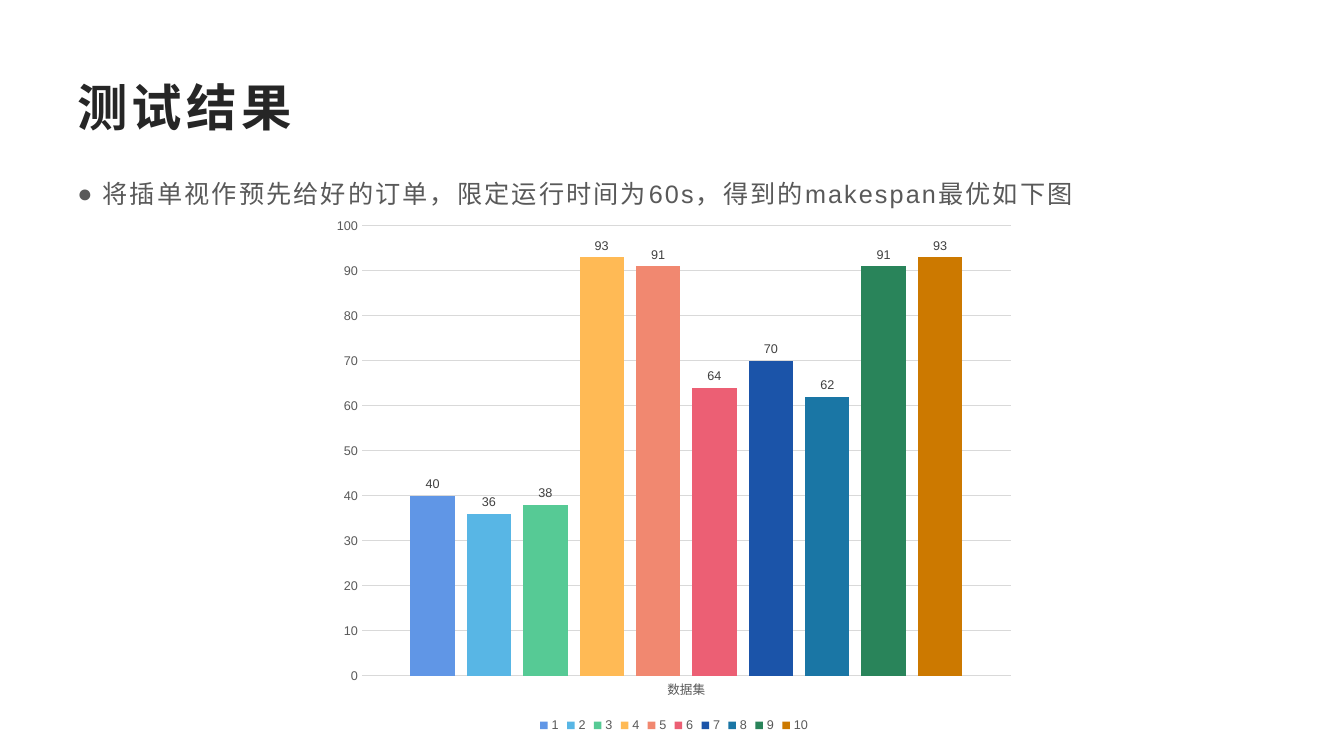
from dataclasses import dataclass

from lxml import etree
from pptx import Presentation
from pptx.chart.data import CategoryChartData
from pptx.dml.color import RGBColor
from pptx.enum.chart import XL_CHART_TYPE, XL_LABEL_POSITION, XL_LEGEND_POSITION, XL_TICK_MARK
from pptx.enum.text import MSO_ANCHOR
from pptx.oxml import parse_xml
from pptx.oxml.ns import nsdecls, qn
from pptx.util import Inches, Pt


@dataclass(frozen=True)
class Theme:
    """Colours, font and type sizes of the slide."""
    font: str = "Arial"
    title_color: str = "262626"
    text_color: str = "595959"
    label_color: str = "404040"
    line_color: str = "D9D9D9"
    title_size: float = 36
    body_size: float = 18
    chart_size: float = 9
    line_width: float = 0.75


# Makespan and bar colour of each data set, numbered from 1
RESULTS = [
    (40, "6096E6"), (36, "58B6E5"), (38, "56CA95"), (93, "FFBA55"), (91, "F18870"),
    (64, "EC5F74"), (70, "1B54A9"), (62, "1A76A5"), (91, "29845A"), (93, "CC7900"),
]


class SlideBuilder:
    """Adds styled elements to one slide."""

    def __init__(self, slide, theme):
        """Keep the slide and its theme."""
        self.slide = slide
        self.theme = theme

    def style_font(self, font, size, color, bold=False):
        """Set the typeface, size, colour and weight."""
        font.name = self.theme.font
        font.size = Pt(size)
        font.bold = bold
        font.color.rgb = RGBColor.from_string(color)

    def style_line(self, line):
        """Draw a thin grey chart line."""
        line.color.rgb = RGBColor.from_string(self.theme.line_color)
        line.width = Pt(self.theme.line_width)

    def add_text(self, text, box, size, color, spacing, bold=False):
        """Add a text box with letter spacing in points and return it."""
        shape = self.slide.shapes.add_textbox(*map(Inches, box))
        shape.text_frame.word_wrap = True
        shape.text_frame.text = text
        for run in shape.text_frame.paragraphs[0].runs:
            self.style_font(run.font, size, color, bold)
            run.font._element.set("spc", str(round(spacing * 100)))
        return shape

    def add_title(self, text, box):
        """Add the bold, vertically centred heading."""
        shape = self.add_text(text, box, self.theme.title_size, self.theme.title_color, 3, bold=True)
        shape.text_frame.vertical_anchor = MSO_ANCHOR.MIDDLE

    def add_bullet(self, text, box):
        """Add a bulleted paragraph with a hanging indent."""
        shape = self.add_text(text, box, self.theme.body_size, self.theme.text_color, 1.5)
        paragraph = shape.text_frame.paragraphs[0]
        paragraph.line_spacing = 1.3
        paragraph.space_after = Pt(10)
        properties = paragraph._p.get_or_add_pPr()
        indent = Inches(0.25)
        properties.set("marL", str(indent))
        properties.set("indent", str(-indent))
        etree.SubElement(properties, qn("a:buFont"), typeface=self.theme.font)
        etree.SubElement(properties, qn("a:buChar"), char="●")

    def add_column_chart(self, category, results, box, plot_box):
        """Add a column chart with one coloured series per result."""
        data = CategoryChartData()
        data.categories = [category]
        for number, (value, _) in enumerate(results, start=1):
            data.add_series(str(number), [value])
        chart = self.slide.shapes.add_chart(
            XL_CHART_TYPE.COLUMN_CLUSTERED, *map(Inches, box), data).chart
        self.style_font(chart.font, self.theme.chart_size, self.theme.text_color)
        chart.has_title = False
        chart.has_legend = True
        chart.legend.position = XL_LEGEND_POSITION.BOTTOM
        chart.legend.include_in_layout = False
        self.style_axes(chart)
        self.style_columns(chart.plots[0], results)
        self.place_plot(chart, plot_box)

    def style_axes(self, chart):
        """Set the scale, gridlines and axis lines."""
        for axis in (chart.category_axis, chart.value_axis):
            axis.major_tick_mark = axis.minor_tick_mark = XL_TICK_MARK.NONE
        self.style_line(chart.category_axis.format.line)
        values = chart.value_axis
        values.minimum_scale, values.maximum_scale, values.major_unit = 0, 100, 10
        values.format.line.fill.background()
        self.style_line(values.major_gridlines.format.line)

    def style_columns(self, plot, results):
        """Set column spacing, fills and value labels."""
        plot.vary_by_categories = False
        plot.gap_width = 219
        plot.overlap = -27
        for series, (_, color) in zip(plot.series, results):
            series.format.fill.solid()
            series.format.fill.fore_color.rgb = RGBColor.from_string(color)
            labels = series.data_labels
            labels.show_value = True
            labels.position = XL_LABEL_POSITION.OUTSIDE_END
            self.style_font(labels.font, self.theme.chart_size, self.theme.label_color)

    def place_plot(self, chart, plot_box):
        """Fix the inner plot area as fractions of the chart."""
        plot_area = chart._chartSpace.find(".//" + qn("c:plotArea"))
        for layout in plot_area.findall(qn("c:layout")):
            plot_area.remove(layout)
        settings = [("layoutTarget", "inner"), ("xMode", "edge"), ("yMode", "edge"),
                    *zip("xywh", plot_box)]
        entries = "".join(f'<c:{name} val="{value}"/>' for name, value in settings)
        plot_area.insert(0, parse_xml(
            f'<c:layout {nsdecls("c")}><c:manualLayout>{entries}</c:manualLayout></c:layout>'))


def main():
    """Build and save the test results slide."""
    presentation = Presentation()
    presentation.slide_width = Inches(13.33)
    presentation.slide_height = Inches(7.5)
    slide = presentation.slides.add_slide(presentation.slide_layouts[6])
    builder = SlideBuilder(slide, Theme())
    builder.add_title("测试结果", (0.67, 0.67, 12, 0.77))
    builder.add_bullet("将插单视作预先给好的订单，限定运行时间为60s，得到的makespan最优如下图",
                       (0.67, 1.63, 12, 5.2))
    builder.add_column_chart("数据集", RESULTS, (3.19, 2.02, 6.99, 5.29),
                             (0.057, 0.042, 0.921, 0.844))
    presentation.save("out.pptx")


main()
